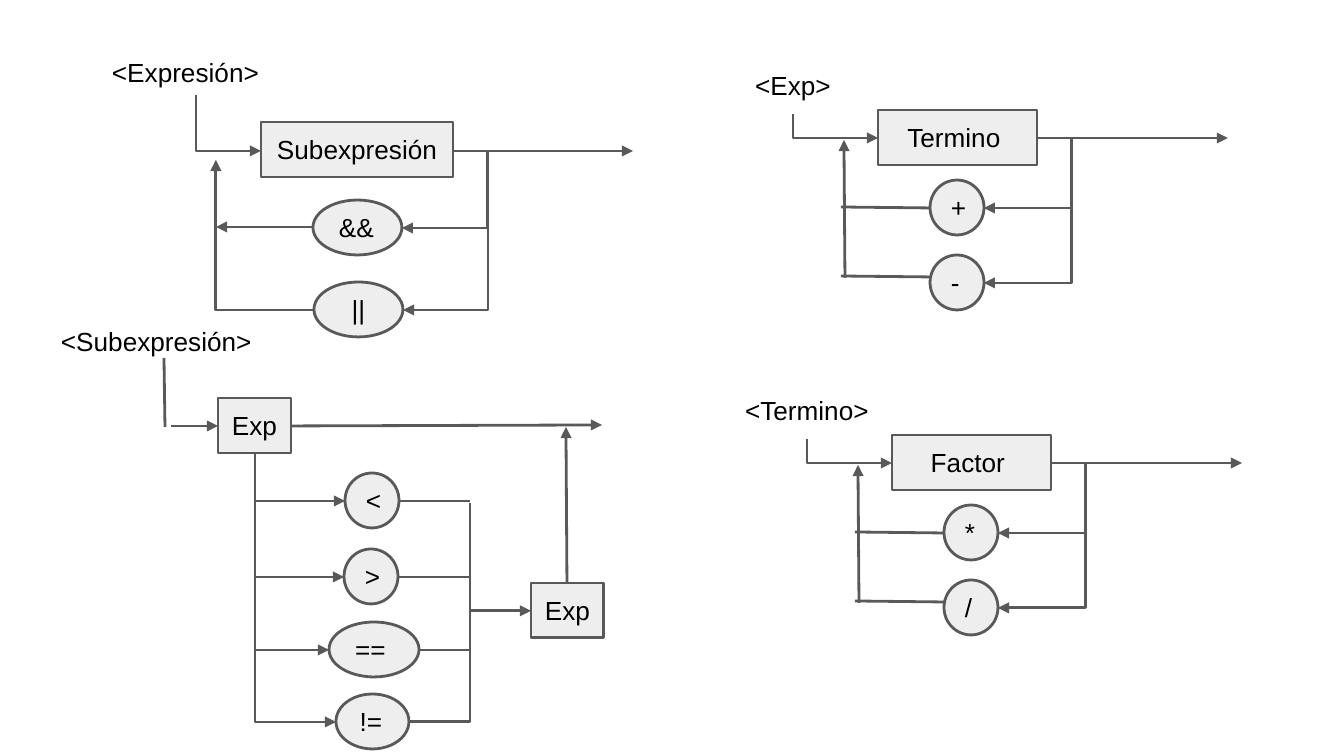
from dataclasses import dataclass

from lxml.etree import SubElement
from pptx import Presentation
from pptx.dml.color import RGBColor
from pptx.enum.shapes import MSO_CONNECTOR as Connector, MSO_SHAPE as Preset
from pptx.enum.text import MSO_ANCHOR as Anchor, PP_ALIGN as Align
from pptx.oxml.ns import qn
from pptx.util import Pt

EMU_PER_PIXEL = 914400 / 134.4


@dataclass(frozen=True)
class Theme:
    """Colours, type and shared sizes of the syntax diagrams."""
    fill: RGBColor = RGBColor(0xEE, 0xEE, 0xEE)
    line: RGBColor = RGBColor(0x59, 0x59, 0x59)
    text: RGBColor = RGBColor(0, 0, 0)
    font: str = "Arial"
    size: Pt = Pt(14)
    line_width: Pt = Pt(1.5)
    inset: int = 13
    node_height: int = 55
    label_height: int = 58


THEME = Theme()


def emu(pixels):
    """Turn pixels into EMU."""
    return round(pixels * EMU_PER_PIXEL)


class Diagram:
    """Draws diagram parts relative to the top left corner of its box."""

    def __init__(self, slide, left, top):
        self.shapes = slide.shapes
        self.left, self.top = left, top

    def place(self, x, y):
        """Return slide coordinates of a point in the box."""
        return emu(self.left + x), emu(self.top + y)

    def set_text(self, shape, text, align, anchor):
        """Set the one line of text in a shape."""
        frame = shape.text_frame
        frame.word_wrap = True
        frame.vertical_anchor = anchor
        frame.margin_left = frame.margin_right = emu(THEME.inset)
        frame.margin_top = frame.margin_bottom = emu(THEME.inset)
        paragraph = frame.paragraphs[0]
        paragraph.alignment = align
        run = paragraph.add_run()
        run.text = text
        run.font.name, run.font.size = THEME.font, THEME.size
        run.font.color.rgb = THEME.text

    def label(self, text, width, align=Align.LEFT):
        """Name the rule at the top left of the box."""
        box = self.shapes.add_textbox(
            *self.place(0, 0), emu(width), emu(THEME.label_height))
        self.set_text(box, text, align, Anchor.TOP)

    def node(self, preset, text, x, y, width, align):
        """Add a filled, outlined symbol."""
        shape = self.shapes.add_shape(
            preset, *self.place(x, y), emu(width), emu(THEME.node_height))
        shape.shadow.inherit = False
        shape.fill.solid()
        shape.fill.fore_color.rgb = THEME.fill
        shape.line.color.rgb = THEME.line
        shape.line.width = THEME.line_width
        self.set_text(shape, text, align, Anchor.MIDDLE)

    def rule(self, text, x, y, width):
        """Add a rectangle that refers to another rule."""
        self.node(Preset.RECTANGLE, text, x, y, width, Align.CENTER)

    def operator(self, text, x, y, width, align=Align.LEFT):
        """Add an ellipse that holds an operator."""
        self.node(Preset.OVAL, text, x, y, width, align)

    def connect(self, start, end, kind=Connector.STRAIGHT, arrow=True):
        """Join two points and return the connector's geometry."""
        connector = self.shapes.add_connector(
            kind, *self.place(*start), *self.place(*end))
        connector.line.color.rgb = THEME.line
        connector.line.width = THEME.line_width
        properties = connector._element.spPr
        if arrow:
            SubElement(properties.find(qn("a:ln")), qn("a:tailEnd"), type="triangle")
        SubElement(properties, qn("a:effectLst"))
        return properties.find(qn("a:prstGeom"))

    def line(self, start, end):
        """Draw a straight line without an arrowhead."""
        self.connect(start, end, arrow=False)

    def elbow(self, start, end, via):
        """Draw an arrow whose vertical part stands at x = via."""
        geometry = self.connect(start, end, Connector.ELBOW)
        share = round(100000 * (via - start[0]) / (end[0] - start[0]))
        guides = geometry.find(qn("a:avLst"))
        SubElement(guides, qn("a:gd"), name="adj1", fmla=f"val {share}")

    def corner(self, start, end):
        """Draw an arrow that runs sideways, then vertically."""
        self.connect(start, end, Connector.ELBOW).set("prst", "bentConnector2")


def draw_expression(slide, left, top):
    """Draw subexpressions joined by logical operators."""
    diagram = Diagram(slide, left, top)
    axis = 108
    diagram.label("<Expresión>", 180)
    diagram.elbow((97, 52), (162, axis), via=97)
    diagram.rule("Subexpresión ", 162, 79, 192)
    diagram.connect((354, axis), (534, axis))
    for text, x, y, align in (("&&", 214, 157, Align.LEFT), ("||", 215, 239, Align.CENTER)):
        diagram.operator(text, x, y, 89, align)
        diagram.elbow((354, axis), (x + 89, y + 28), via=389)
    diagram.connect((214, 184), (117, 184))
    diagram.corner((215, 267), (117, 117))


def draw_subexpression(slide, left, top):
    """Draw an expression with an optional comparison."""
    diagram = Diagram(slide, left, top)
    axis, feed, bus = 114, 207, 422
    diagram.label("<Subexpresión>", 234)
    diagram.line((116, 46), (117, 115))
    diagram.connect((123, axis), (170, axis))
    diagram.connect((244, axis), (554, axis - 1))
    diagram.rule("Exp ", 170, 86, 73)
    diagram.rule("Exp ", 483, 271, 73)
    operators = (("<", 297, 161, 54), (">", 296, 237, 54),
                 ("==", 281, 310, 90), ("!=", 288, 382, 73))
    for text, x, y, width in operators:
        diagram.operator(text, x, y, width)
    for text, x, y, width in operators[:-1]:
        middle = y + 28
        diagram.connect((feed, middle), (x, middle))
        diagram.line((x + width, middle), (bus, middle))
    diagram.line((bus, 408), (bus, 191))
    diagram.elbow((feed, 141), (288, 410), via=feed)
    diagram.elbow((361, 410), (483, 299), via=bus)
    diagram.connect((519, 271), (518, 115))


def draw_repetition(slide, left, top, name, part, operators):
    """Draw a part that repeats, separated by either of two operators."""
    diagram = Diagram(slide, left, top)
    axis = 82
    diagram.label(name, 180, Align.CENTER)
    diagram.elbow((90, 58), (175, axis), via=90)
    diagram.rule(part, 175, 54, 159)
    diagram.connect((334, axis), (525, axis))
    for text, y, exit_y in zip(operators, (124, 199), (152, 221)):
        diagram.operator(text, 227, y, 54)
        diagram.elbow((334, axis), (281, y + 28), via=369)
        diagram.line((227, exit_y), (138, exit_y - 1))
    diagram.connect((142, 222), (141, 84))


def main():
    """Build the slide with its four syntax diagrams."""
    presentation = Presentation()
    presentation.slide_width, presentation.slide_height = emu(1344), emu(756)
    slide = presentation.slides.add_slide(presentation.slide_layouts[6])
    draw_expression(slide, 99, 43)
    draw_subexpression(slide, 48, 312)
    draw_repetition(slide, 703, 56, "<Exp>", "Termino ", "+-")
    draw_repetition(slide, 717, 381, "<Termino>", "Factor ", "*/")
    presentation.save("out.pptx")


main()
